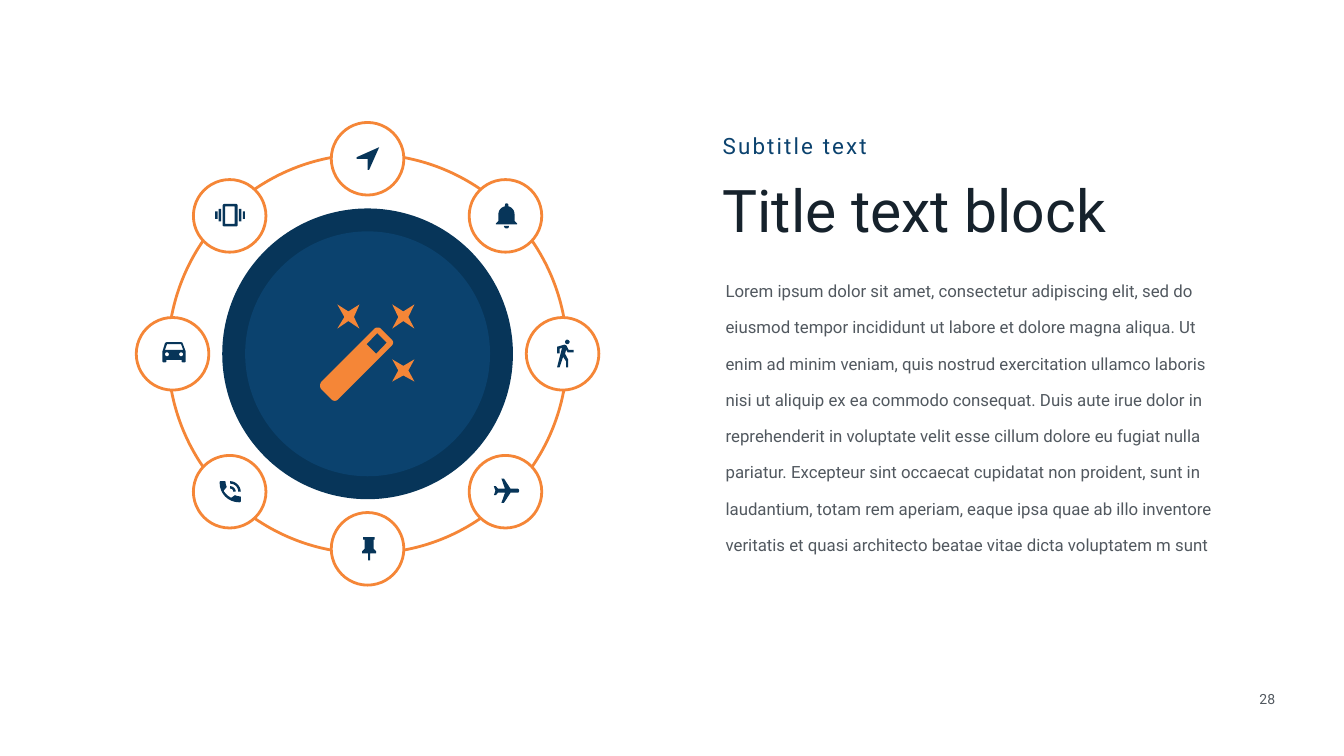
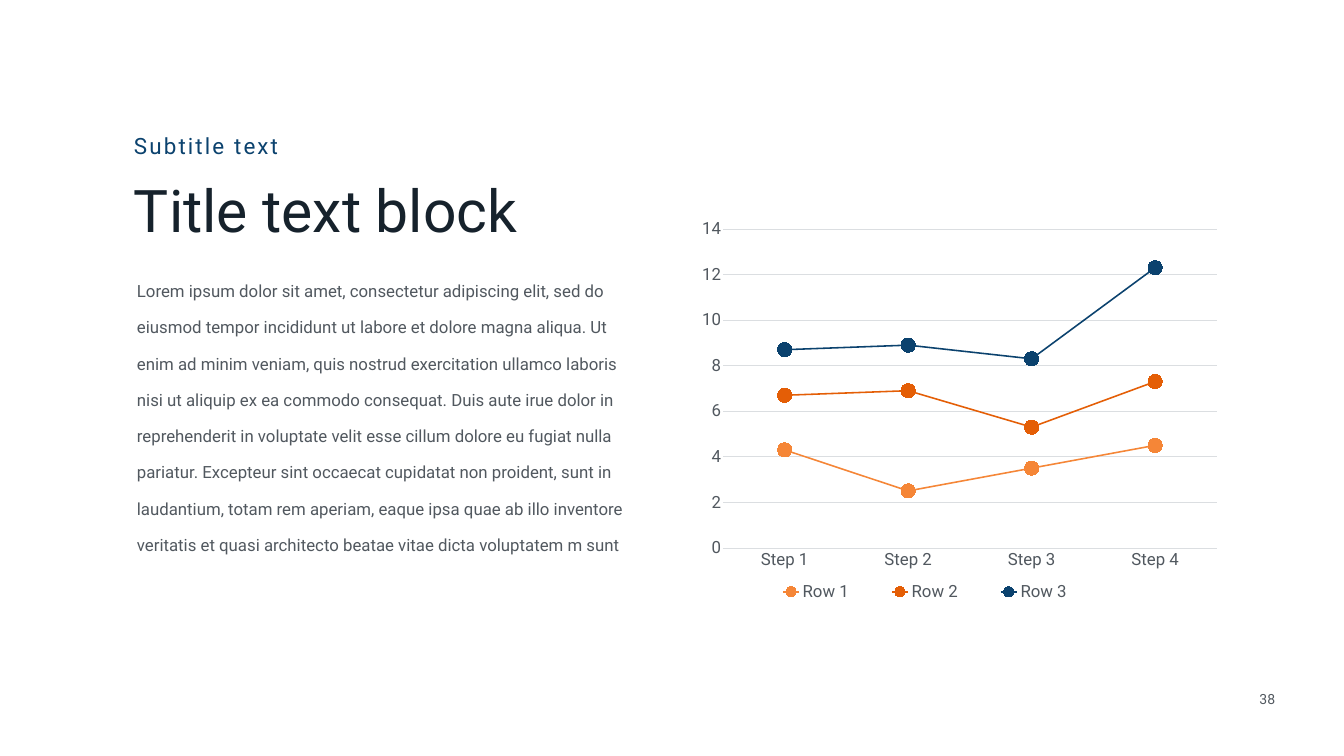
"""Two slides: a wheel of icons and a stacked line chart, each beside a text block."""
import math
from typing import NamedTuple

from lxml import etree
from pptx import Presentation, util as u
from pptx.chart.data import CategoryChartData
from pptx.dml.color import RGBColor
from pptx.enum import chart as charts, shapes, text
from pptx.oxml.ns import qn

WIDTH, HEIGHT = u.Inches(26.67), u.Inches(15)
FONT = "Roboto"
NAVY, BLUE, ORANGE, RUST = "073559", "0B426E", "F58637", "E45E06"
INK, GREY, RULE, WHITE = "16222C", "51585F", "DBDEE1", "FFFFFF"
BODY = (
    "Lorem ipsum dolor sit amet, consectetur adipiscing elit, sed do eiusmod tempor "
    "incididunt ut labore et dolore magna aliqua. Ut enim ad minim veniam, quis nostrud "
    "exercitation ullamco laboris nisi ut aliquip ex ea commodo consequat. Duis aute irue "
    "dolor in reprehenderit in voluptate velit esse cillum dolore eu fugiat nulla pariatur. "
    "Excepteur sint occaecat cupidatat non proident, sunt in laudantium, totam rem aperiam, "
    "eaque ipsa quae ab illo inventore veritatis et quasi architecto beatae vitae dicta "
    "voluptatem m sunt"
)


class Box(NamedTuple):
    """Percentages of the slide's width (left, width) and height (top, height)."""
    left: float
    top: float
    width: float
    height: float

    def lengths(self) -> tuple[int, int, int, int]:
        return (across(self.left), down(self.top), across(self.width), down(self.height))


class TextStyle(NamedTuple):
    size: int
    color: str
    spacing: float = 0
    line_spacing: float | None = None
    inset: float | None = 0.04
    grow: bool = True
    align: text.PP_ALIGN = text.PP_ALIGN.LEFT
    anchor: text.MSO_ANCHOR = text.MSO_ANCHOR.TOP


class Icon(NamedTuple):
    """An outline in hundredths of an inch, shifted from the centre it sits on."""
    shift: tuple[int, int]
    outline: str


class Series(NamedTuple):
    name: str
    values: tuple[float, ...]
    color: str


TITLE = TextStyle(84, INK, grow=False)
SUBTITLE = TextStyle(32, BLUE, spacing=3, anchor=text.MSO_ANCHOR.MIDDLE)
PARAGRAPH = TextStyle(24, GREY, line_spacing=1.8, inset=None)
PAGE_NUMBER = TextStyle(20, GREY, align=text.PP_ALIGN.CENTER)

WHEEL_CENTRE = (27.35, 46.8)
WHEEL_RADIUS = 14.51
RING_SIZE, RIM_SIZE, HUB_SIZE, BADGE_SIZE = 29.7, 21.63, 18.22, 5.4

WAND = Icon((-94, -98), """
    M 143 109 L 165 122 187 109 175 131 187 153 165 141 143 153 155 131
    M 113 57 L 92 79 111 98 132 76
    M 114 46 C 116 46 118 46 120 48 L 141 69 C 146 73 146 78 141 83 L 35 189
    C 32 192 26 192 23 189 L 2 168 C -1 164 -1 158 2 154 L 108 48 C 110 46 112 46 114 46
    M 143 0 L 165 14 187 0 175 25 187 48 165 33 143 48 155 25
    M 34 0 L 56 14 78 0 67 25 78 48 56 33 34 48 48 25""")
ARROW = Icon((-22, -23), "M 0 23 L 22 23 22 45 25 45 45 0 0 20")
BELL = Icon((-19, -25), """
    M 21 50 C 24 50 26 48 26 45 L 16 45 C 16 48 19 50 21 50
    M 37 35 L 37 22 C 37 14 32 8 25 6 L 25 4 C 25 2 23 0 21 0 C 19 0 18 2 18 4
    L 18 6 C 10 8 5 14 5 22 L 5 35 0 40 0 42 42 42 42 40""")
WALKER = Icon((-11, -28), """
    M 20 9 C 22 9 25 7 25 4 C 25 2 22 0 20 0 C 18 0 16 2 16 4 C 16 7 18 9 20 9
    M 21 25 L 33 25 33 20 23 20 19 12 C 18 11 16 10 15 10 L 14 10 0 14 0 27 5 27 5 18
    10 16 0 55 5 55 12 34 18 43 18 55 22 55 22 39 16 28 18 20""")
PLANE = Icon((-23, -26), """
    M 50 24 C 50 22 49 20 47 20 L 33 20 20 0 15 0 22 20 8 20 4 15 0 15 3 24 0 33 4 33
    8 28 22 28 15 48 20 48 33 28 47 28 C 49 28 50 26 50 24""")
PIN = Icon((-11, -23), """
    M 23 23 L 23 5 25 5 25 0 2 0 2 5 5 5 5 23 0 28 0 32 12 32 12 46 16 46 16 32
    28 32 28 28""")
PHONE = Icon((-20, -21), """
    M 39 30 C 36 30 34 29 31 28 C 30 28 29 28 29 29 L 23 33 C 17 30 11 25 8 19 L 13 13
    C 14 12 14 11 14 11 C 13 8 12 6 12 3 C 12 1 11 0 10 0 L 2 0 C 1 0 0 1 0 3
    C 0 25 17 42 39 42 C 41 42 42 41 42 40 L 42 32 C 42 30 41 30 39 30
    M 37 21 L 42 21 C 42 10 32 0 21 0 L 21 5 C 30 5 37 12 37 21
    M 27 21 L 32 21 C 32 15 27 10 21 10 L 21 15 C 25 15 27 17 27 21""")
CAR = Icon((-20, -23), """
    M 40 2 C 40 1 38 0 37 0 L 9 0 C 7 0 6 1 5 2 L 0 18 0 38 C 0 39 1 40 2 40 L 5 40
    C 7 40 8 39 8 38 L 8 35 38 35 38 38 C 38 39 39 40 41 40 L 43 40
    C 45 40 46 39 46 38 L 46 18
    M 9 28 C 7 28 5 26 5 24 C 5 22 6 20 9 20 C 11 20 13 22 13 24 C 13 26 11 28 9 28
    M 37 28 C 35 28 33 26 33 24 C 33 22 35 20 37 20 C 39 20 41 22 41 24
    C 41 26 39 28 37 28
    M 5 15 L 9 4 37 4 41 15""")
VIBRATION = Icon((-29, -24), """
    M 0 30 L 5 30 5 15 0 15 M 7 35 L 12 35 12 10 7 10
    M 55 15 L 55 30 59 30 59 15 M 47 35 L 52 35 52 10 47 10
    M 41 0 L 19 0 C 17 0 15 2 15 4 L 15 42 C 15 44 17 45 19 45 L 41 45
    C 43 45 45 44 45 42 L 45 4 C 45 2 43 0 41 0
    M 39 40 L 20 40 20 5 39 5""")
BADGES = (ARROW, BELL, WALKER, PLANE, PIN, PHONE, CAR, VIBRATION)  # clockwise from the top

STEPS = ("Step 1", "Step 2", "Step 3", "Step 4")
ROWS = (
    Series("Row 1", (4.3, 2.5, 3.5, 4.5), ORANGE),
    Series("Row 2", (2.4, 4.4, 1.8, 2.8), RUST),
    Series("Row 3", (2, 2, 3, 5), BLUE),
)


def across(percent: float) -> int:
    return round(WIDTH * percent / 100)


def down(percent: float) -> int:
    return round(HEIGHT * percent / 100)


def rgb(color: str) -> RGBColor:
    return RGBColor.from_string(color)


def set_font(font, size: int, color: str) -> None:
    font.name, font.size = FONT, u.Pt(size)
    font.color.rgb = rgb(color)


def set_line(line, color: str, width: float) -> None:
    line.color.rgb = rgb(color)
    line.width = u.Pt(width)


def add_text(slide, box: Box, words: str, style: TextStyle) -> None:
    frame = slide.shapes.add_textbox(*box.lengths()).text_frame
    frame.word_wrap = True
    frame.vertical_anchor = style.anchor
    if style.grow:
        frame.auto_size = text.MSO_AUTO_SIZE.SHAPE_TO_FIT_TEXT
    if style.inset is not None:
        inset = u.Inches(style.inset)
        frame.margin_left = frame.margin_right = inset
        frame.margin_top = frame.margin_bottom = inset
    paragraph = frame.paragraphs[0]
    run = paragraph.add_run()
    run.text = words
    paragraph.alignment = style.align
    paragraph.line_spacing = style.line_spacing
    set_font(paragraph.font, style.size, style.color)
    if style.spacing:
        run._r.get_or_add_rPr().set("spc", str(round(style.spacing * 100)))


def add_text_block(slide, left: float, page: int) -> None:
    """Page number, title, subtitle and body text, as on every slide."""
    add_text(slide, Box(92.46, 91.07, 3.67, 2.8), str(page), PAGE_NUMBER)
    add_text(slide, Box(left, 22.73, 32.17, 11.53), "Title text block", TITLE)
    add_text(slide, Box(left, 17.13, 22.95, 4.13), "Subtitle text", SUBTITLE)
    add_text(slide, Box(left, 34.67, 38.62, 39.47), BODY, PARAGRAPH)


def add_circle(slide, x: int, y: int, size: float,
               fill: str | None = None, line: str | None = None) -> None:
    """Circle centred on x, y; its size is a percentage of the slide's width."""
    side = across(size)
    circle = slide.shapes.add_shape(
        shapes.MSO_SHAPE.OVAL, x - side // 2, y - side // 2, side, side)
    circle.shadow.inherit = False
    if fill:
        circle.fill.solid()
        circle.fill.fore_color.rgb = rgb(fill)
    else:
        circle.fill.background()
    if line:
        set_line(circle.line, line, 4)
    else:
        circle.line.fill.background()


def curve_points(start, first, second, end, steps: int = 8) -> list[tuple[float, float]]:
    """Points along a cubic Bézier curve, without its start."""
    points = []
    for step in range(1, steps + 1):
        t = step / steps
        weights = ((1 - t) ** 3, 3 * t * (1 - t) ** 2, 3 * t * t * (1 - t), t ** 3)
        points.append(tuple(
            sum(w * p[axis] for w, p in zip(weights, (start, first, second, end)))
            for axis in (0, 1)))
    return points


def contours(outline: str) -> list[list[tuple[float, float]]]:
    """Turn M, L and C commands into closed lists of points."""
    result = []
    for part in outline.split("M")[1:]:
        points = []
        for command in ("L" + part).replace("L", "|L").replace("C", "|C").split("|")[1:]:
            numbers = [float(number) for number in command[1:].split()]
            pairs = list(zip(numbers[::2], numbers[1::2]))
            points += curve_points(points[-1], *pairs) if command[0] == "C" else pairs
        result.append(points)
    return result


def add_icon(slide, x: int, y: int, icon: Icon, color: str) -> None:
    unit = u.Inches(0.01)
    first, *others = [[(px * unit, py * unit) for px, py in points]
                      for points in contours(icon.outline)]
    builder = slide.shapes.build_freeform(*first[0])
    builder.add_line_segments(first[1:], close=True)
    for points in others:
        builder.move_to(*points[0])
        builder.add_line_segments(points[1:], close=True)
    shape = builder.convert_to_shape(x + icon.shift[0] * unit, y + icon.shift[1] * unit)
    shape.shadow.inherit = False
    shape.fill.solid()
    shape.fill.fore_color.rgb = rgb(color)
    shape.line.fill.background()


def add_wheel(slide) -> None:
    x, y = across(WHEEL_CENTRE[0]), down(WHEEL_CENTRE[1])
    add_circle(slide, x, y, RIM_SIZE, fill=NAVY)
    add_circle(slide, x, y, HUB_SIZE, fill=BLUE)
    add_icon(slide, x, y, WAND, ORANGE)
    add_circle(slide, x, y, RING_SIZE, line=ORANGE)
    radius = across(WHEEL_RADIUS)
    for index, icon in enumerate(BADGES):
        angle = math.tau * index / len(BADGES)
        badge_x = x + round(radius * math.sin(angle))
        badge_y = y - round(radius * math.cos(angle))
        add_circle(slide, badge_x, badge_y, BADGE_SIZE, fill=WHITE, line=ORANGE)
        add_icon(slide, badge_x, badge_y, icon, NAVY)


def place_part(element, position: int, box: Box, inner: bool = False) -> None:
    """Give a chart part a fixed place, in percentages of the chart."""
    for old in element.findall(qn("c:layout")):
        element.remove(old)
    layout = etree.Element(qn("c:layout"))
    element.insert(position, layout)
    manual = etree.SubElement(layout, qn("c:manualLayout"))
    settings = [("layoutTarget", "inner")] if inner else []
    settings += [("xMode", "edge"), ("yMode", "edge")]
    settings += [(name, str(share / 100)) for name, share in zip("xywh", box)]
    for name, value in settings:
        etree.SubElement(manual, qn(f"c:{name}")).set("val", value)


def add_line_chart(slide, box: Box) -> None:
    data = CategoryChartData()
    data.categories = STEPS
    for row in ROWS:
        data.add_series(row.name, row.values)
    chart = slide.shapes.add_chart(
        charts.XL_CHART_TYPE.LINE_MARKERS_STACKED, *box.lengths(), data).chart
    chart.has_title = False
    set_font(chart.font, 24, GREY)
    chart.plots[0].vary_by_categories = False
    for series, row in zip(chart.plots[0].series, ROWS):
        series.smooth = False
        set_line(series.format.line, row.color, 2.25)
        marker = series.marker
        marker.style, marker.size = charts.XL_MARKER_STYLE.CIRCLE, 20
        marker.format.fill.solid()
        marker.format.fill.fore_color.rgb = rgb(row.color)
        set_line(marker.format.line, row.color, 0.75)
    for axis in (chart.category_axis, chart.value_axis):
        axis.major_tick_mark = axis.minor_tick_mark = charts.XL_TICK_MARK.NONE
        set_font(axis.tick_labels.font, 24, GREY)
    set_line(chart.category_axis.format.line, RULE, 0.75)
    values = chart.value_axis
    values.minimum_scale, values.maximum_scale, values.major_unit = 0, 14, 2
    values.format.line.fill.background()
    set_line(values.major_gridlines.format.line, RULE, 0.75)
    chart.has_legend = True
    legend = chart.legend
    legend.position = charts.XL_LEGEND_POSITION.BOTTOM
    legend.include_in_layout = False
    set_font(legend.font, 24, GREY)
    place_part(chart._chartSpace.chart.plotArea, 0, Box(5.8, 4.5, 92.2, 80.4), inner=True)
    place_part(legend._element, 1, Box(10, 92.5, 67, 7))


def main() -> None:
    presentation = Presentation()
    presentation.slide_width, presentation.slide_height = WIDTH, HEIGHT
    blank = presentation.slide_layouts[6]
    wheel_slide = presentation.slides.add_slide(blank)
    add_text_block(wheel_slide, 53.62, 28)
    add_wheel(wheel_slide)
    chart_slide = presentation.slides.add_slide(blank)
    add_text_block(chart_slide, 9.82, 38)
    add_line_chart(chart_slide, Box(51.48, 27.93, 39.86, 52.47))
    presentation.save("out.pptx")


if __name__ == "__main__":
    main()
